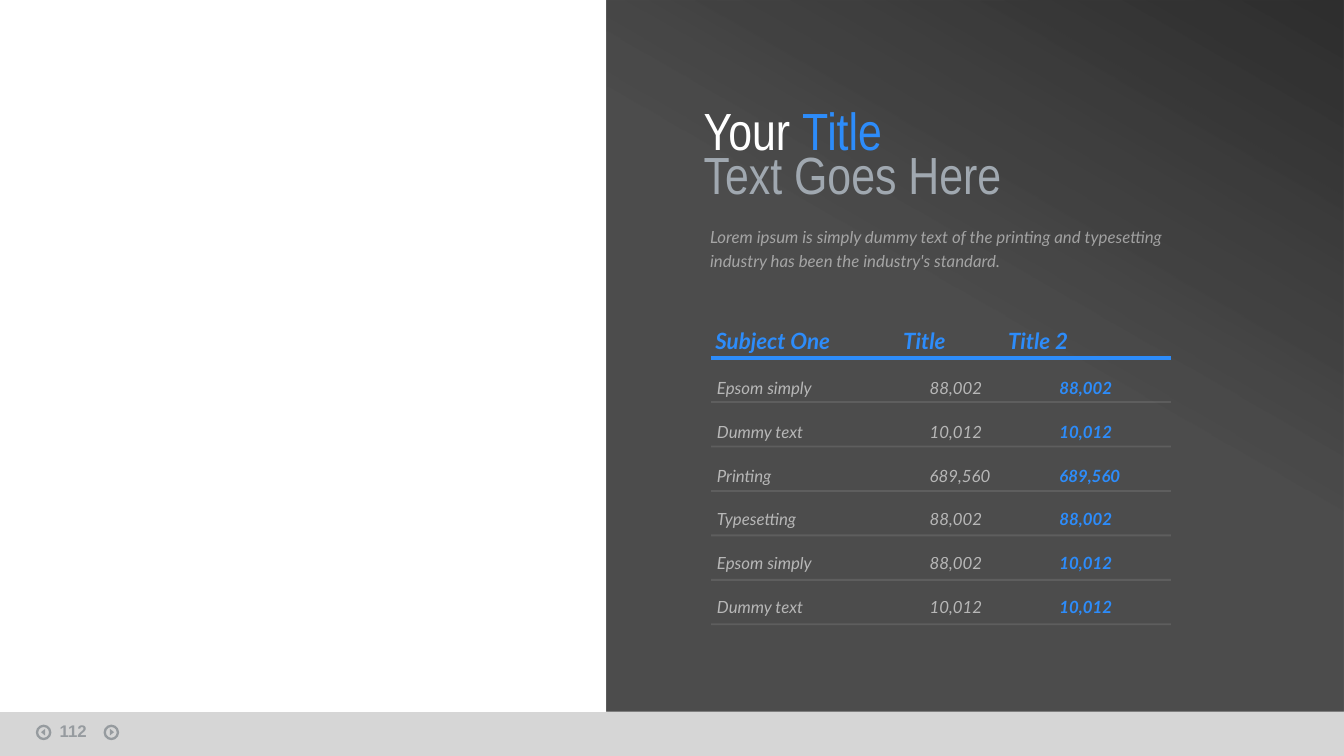
from pptx import Presentation
from pptx.dml.color import RGBColor
from pptx.enum.shapes import MSO_CONNECTOR, MSO_SHAPE
from pptx.enum.text import MSO_ANCHOR
from pptx.oxml import parse_xml
from pptx.oxml.ns import nsdecls, qn
from pptx.util import Cm, Pt

WHITE = RGBColor(0xFF, 0xFF, 0xFF)
BLUE = RGBColor(0x2D, 0x8C, 0xFA)
STEEL = RGBColor(0xA0, 0xA8, 0xB0)
DARK = RGBColor(0x2E, 0x2E, 0x2E)
BAR = RGBColor(0xD2, 0xD2, 0xD2)
NAVY = RGBColor(0x05, 0x14, 0x23)
NO_STYLE = "{2D5ABB26-0587-4C30-8999-92F81FD0307C}"


def fade(node, alpha):
    """Set the opacity, in percent, of the last colour inside node."""
    color = list(node.iter(qn("a:srgbClr")))[-1]
    color.append(parse_xml(f'<a:alpha {nsdecls("a")} val="{alpha * 1000}"/>'))


class Deck:
    body = "Lato"

    def __init__(self):
        self.file = Presentation()
        self.file.slide_width, self.file.slide_height = Cm(25.4), Cm(14.29)
        self.slide = self.file.slides.add_slide(self.file.slide_layouts[6])

    def shape(self, kind, left, top, width, height, fill=None, alpha=100):
        item = self.slide.shapes.add_shape(
            kind, Cm(left), Cm(top), Cm(width), Cm(height))
        item.shadow.inherit = False
        item.line.fill.background()
        if fill is None:
            item.fill.background()
        else:
            item.fill.solid()
            item.fill.fore_color.rgb = fill
            fade(item.fill._xPr, alpha)
        return item

    def panel(self, left, top, width, height):
        item = self.shape(MSO_SHAPE.RECTANGLE, left, top, width, height)
        item.fill.gradient()
        item.fill.gradient_angle = 240
        for stop, place in zip(item.fill.gradient_stops, (0, 0.46)):
            stop.color.rgb = DARK
            stop.position = place
        fade(item.fill._xPr.find(qn("a:gradFill")), 85)

    def arrow(self, left, turn):
        """Round page button, its triangle turned to one side."""
        ring = self.shape(MSO_SHAPE.OVAL, left, 13.72, 0.25, 0.25)
        ring.line.color.rgb = NAVY
        ring.line.width = Pt(1.25)
        fade(ring.line._ln, 30)
        shift = 0.07 if turn == 90 else 0.05
        tip = self.shape(MSO_SHAPE.ISOSCELES_TRIANGLE, left + shift, 13.8,
                         0.13, 0.08, NAVY, 30)
        tip.rotation = turn

    def rule(self, left, right, top, color, width, alpha=100):
        item = self.slide.shapes.add_connector(
            MSO_CONNECTOR.STRAIGHT, Cm(left), Cm(top), Cm(right), Cm(top))
        item.line.color.rgb = color
        item.line.width = Pt(width)
        fade(item.line._ln, alpha)
        item._element.spPr.append(parse_xml(f'<a:effectLst {nsdecls("a")}/>'))

    def style(self, para, size, color, alpha=100, name=body,
              bold=False, italic=False):
        font = para.font
        font.name, font.size = name, Pt(size)
        font.bold, font.italic = bold, italic
        font.color.rgb = color
        fade(para._p.pPr, alpha)

    def box(self, left, top, width, height, inset=0.0,
            anchor=MSO_ANCHOR.TOP):
        item = self.slide.shapes.add_textbox(
            Cm(left), Cm(top), Cm(width), Cm(height))
        frame = item.text_frame
        frame.word_wrap = True
        frame.vertical_anchor = anchor
        frame.margin_left = frame.margin_right = Cm(inset)
        frame.margin_top = frame.margin_bottom = Cm(inset / 2)
        return frame

    def title(self, lines, left, top, width, height):
        frame = self.box(left, top, width, height, anchor=MSO_ANCHOR.MIDDLE)
        for i, parts in enumerate(lines):
            para = frame.add_paragraph() if i else frame.paragraphs[0]
            para.line_spacing = 0.7
            self.style(para, 28, parts[0][1], name="Arial Narrow")
            for text, color in parts:
                run = para.add_run()
                run.text = text
                run.font.color.rgb = color

    def table(self, rows, left, top, widths, heads, indents):
        tall = 0.83
        frame = self.slide.shapes.add_table(
            len(rows), len(widths), Cm(left), Cm(top),
            Cm(sum(widths)), Cm(tall * len(rows)))
        grid = frame.table
        grid.first_row = grid.horz_banding = False
        grid._tbl.tblPr.find(qn("a:tableStyleId")).text = NO_STYLE
        for column, width in zip(grid.columns, widths):
            column.width = Cm(width)
        for r, row in enumerate(rows):
            grid.rows[r].height = Cm(tall)
            for c, text in enumerate(row):
                cell = grid.cell(r, c)
                cell.fill.background()
                cell.vertical_anchor = MSO_ANCHOR.BOTTOM
                cell.margin_left = Cm((indents if r else heads)[c])
                cell.margin_right = cell.margin_top = 0
                cell.margin_bottom = Cm(0.05)
                cell.text = text
                para = cell.text_frame.paragraphs[0]
                if r == 0:
                    self.style(para, 12, BLUE, bold=True, italic=True)
                elif c == 2:
                    self.style(para, 9, BLUE, bold=True, italic=True)
                else:
                    self.style(para, 9, WHITE, 60, italic=True)


deck = Deck()

# Footer bar with page number
deck.shape(MSO_SHAPE.RECTANGLE, 0, 13.46, 25.4, 0.83, BAR, 90)
deck.arrow(1.98, 90)
deck.arrow(0.7, 270)
para = deck.box(0.88, 13.49, 1.17, 0.53, 0.25).paragraphs[0]
para.text = "112"
deck.style(para, 9, NAVY, 30, "Arial", bold=True)

# Dark panel with heading and intro
deck.panel(11.46, 0, 13.94, 13.46)
deck.title([[("Your ", WHITE), ("Title", BLUE)],
            [("Text Goes Here", STEEL)]], 13.3, 1.76, 7.19, 2.49)
para = deck.box(13.42, 4.21, 8.69, 0.99).paragraphs[0]
para.text = ("Lorem ipsum is simply dummy text of the printing and "
             "typesetting industry has been the industry's standard.")
para.line_spacing = Pt(13)
deck.style(para, 9, WHITE, 50, italic=True)

# Figures
deck.table([
    ("Subject One", "Title", "Title 2"),
    ("Epsom simply", "88,002", "88,002"),
    ("Dummy text", "10,012", "10,012"),
    ("Printing", "689,560", "689,560"),
    ("Typesetting", "88,002", "88,002"),
    ("Epsom simply", "88,002", "10,012"),
    ("Dummy text", "10,012", "10,012"),
], 13.44, 5.91, (3.53, 1.98, 3.18), (0.08, 0.1, 0.1), (0.11, 0.6, 1.07))

# Rules under the rows
for row in range(7):
    look = (WHITE, 1, 10) if row else (BLUE, 2)
    deck.rule(13.44, 22.13, 6.76 + 0.84 * row, *look)

deck.file.save("out.pptx")
